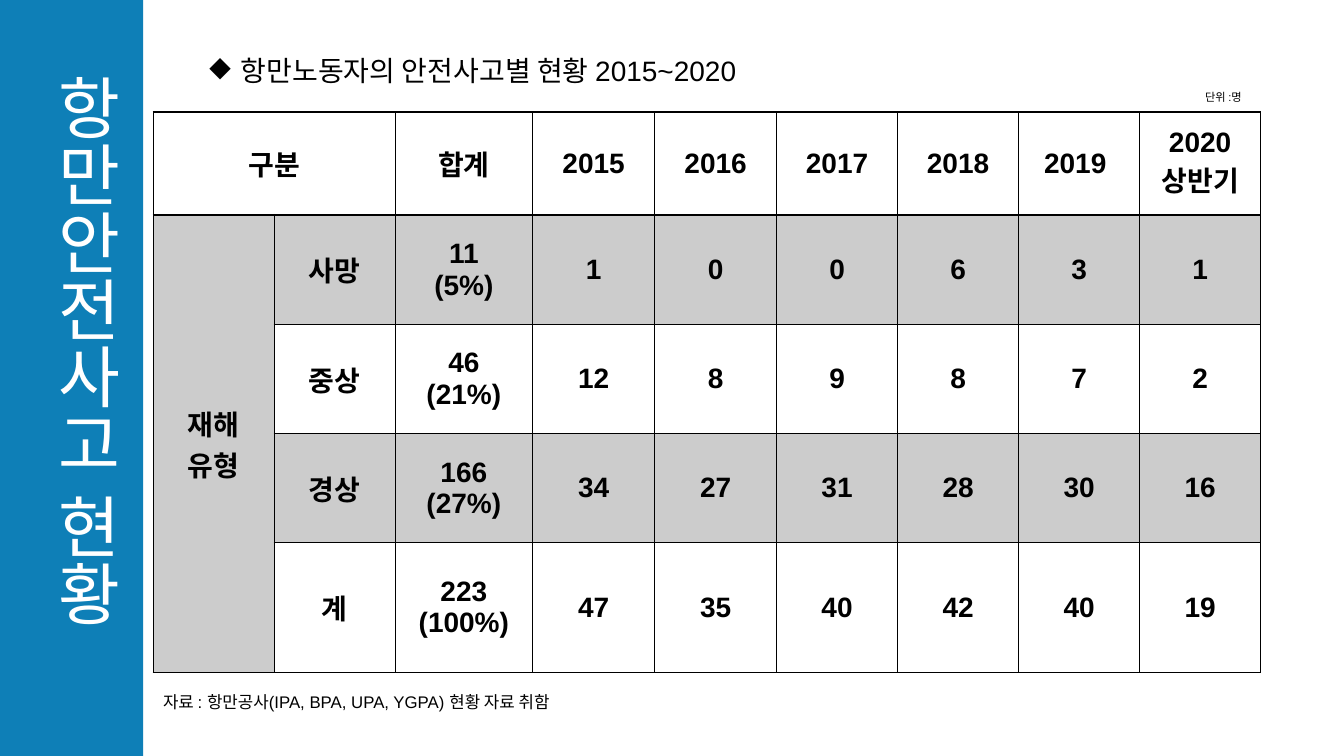
"""Build the slide on port safety accidents."""
from lxml import etree
from pptx import Presentation, util as u
from pptx.dml.color import RGBColor
from pptx.enum import shapes, text
from pptx.oxml.ns import qn

BLUE, BLACK, WHITE = "0E7FB7", "000000", "FFFFFF"
SIDEBAR = (0, 0, 3.61, 19.05)
TEXTS = [
    {"words": "항만안전사고 현황", "box": (0.76, 1.63, 2.57, 15.82),
     "size": 48, "color": WHITE, "vertical": True},
    {"words": "항만노동자의 안전사고별 현황 2015~2020",
     "box": (5.03, 1.22, 25.27, 1.11), "size": 20, "bullet": "◆"},
    {"words": "자료 : 항만공사(IPA, BPA, UPA, YGPA) 현황 자료 취함",
     "box": (3.86, 17.3, 12.34, 0.76), "size": 12},
    {"words": "단위 :명", "box": (30.12, 2.16, 2.21, 0.61), "size": 8},
]
ROWS = [
    ["구분", "", "합계", "2015", "2016", "2017", "2018", "2019 ", "2020 상반기"],
    ["재해 유형", "사망", "11\n(5%)", "1", "0", "0", "6", "3", "1"],
    ["", "중상", "46\n(21%)", "12", "8", "9", "8", "7", "2"],
    ["", "경상", "166\n(27%)", "34", "27", "31", "28", "30", "16"],
    ["", "계", "223\n(100%)", "47", "35", "40", "42", "40", "19"],
]
TABLE_LEFT, TABLE_TOP = 3.86, 2.82
COLUMN_WIDTHS = [3.05, 3.05, 3.46, 3.08, 3.07, 3.05, 3.05, 3.05, 3.05]
ROW_HEIGHTS = [2.6, 2.75, 2.75, 2.75, 3.28]
MERGES = [((0, 0), (0, 1)), ((1, 0), (4, 0))]


def rgb(value):
    return RGBColor.from_string(value)


def place(box):
    return [u.Cm(length) for length in box]


def style(paragraph, size, color=BLACK, bold=False):
    for name, value in {"name": "Arial", "size": u.Pt(size), "bold": bold}.items():
        setattr(paragraph.font, name, value)
    paragraph.font.color.rgb = rgb(color)


def add_bullet(paragraph, mark):
    properties = paragraph._p.get_or_add_pPr()
    indent = u.Cm(0.79)
    properties.set("marL", str(indent))
    properties.set("indent", str(-indent))
    etree.SubElement(properties, qn("a:buChar"), char=mark)


def add_text(slide, words, box, size, color=BLACK, vertical=False, bullet=None):
    frame = slide.shapes.add_textbox(*place(box)).text_frame
    frame.word_wrap = True
    frame.auto_size = text.MSO_AUTO_SIZE.SHAPE_TO_FIT_TEXT
    if vertical:
        frame._txBody.bodyPr.set("vert", "eaVert")
    paragraph = frame.paragraphs[0]
    paragraph.text = words
    if bullet:
        add_bullet(paragraph, bullet)
    style(paragraph, size, color)


def fill_cell(cell, shaded):
    if not shaded:
        cell.fill.background()
        return
    cell.fill.solid()
    cell.fill.fore_color.rgb = rgb(BLACK)
    color = cell._tc.tcPr.find(".//" + qn("a:srgbClr"))
    etree.SubElement(color, qn("a:alpha"), val="20000")


def add_borders(cell, widths):
    properties = cell._tc.get_or_add_tcPr()
    for position, (side, width) in enumerate(widths.items()):
        line = etree.Element(qn("a:ln" + side), w=str(u.Pt(width)))
        solid = etree.SubElement(line, qn("a:solidFill"))
        etree.SubElement(solid, qn("a:srgbClr"), val=BLACK)
        properties.insert(position, line)


def add_accident_table(slide):
    box = (TABLE_LEFT, TABLE_TOP, sum(COLUMN_WIDTHS), sum(ROW_HEIGHTS))
    table = slide.shapes.add_table(len(ROWS), len(COLUMN_WIDTHS), *place(box)).table
    table.first_row = table.horz_banding = False
    for column, width in zip(table.columns, COLUMN_WIDTHS):
        column.width = u.Cm(width)
    for row, height in zip(table.rows, ROW_HEIGHTS):
        row.height = u.Cm(height)
    for start, end in MERGES:
        table.cell(*start).merge(table.cell(*end))
    for row_index, row in enumerate(ROWS):
        for column_index, words in enumerate(row):
            cell = table.cell(row_index, column_index)
            cell.text = words
            cell.vertical_anchor = text.MSO_ANCHOR.MIDDLE
            for paragraph in cell.text_frame.paragraphs:
                paragraph.alignment = text.PP_ALIGN.CENTER
                style(paragraph, 20, bold=True)
            fill_cell(cell, row_index % 2 == 1)
            add_borders(cell, {"L": 1, "R": 1, "T": 2 if row_index == 1 else 1,
                               "B": 2 if row_index == 0 else 1})


def main():
    presentation = Presentation()
    presentation.slide_width, presentation.slide_height = place((33.87, 19.05))
    slide = presentation.slides.add_slide(presentation.slide_layouts[6])
    sidebar = slide.shapes.add_shape(shapes.MSO_SHAPE.RECTANGLE, *place(SIDEBAR))
    sidebar.shadow.inherit = False
    sidebar.fill.solid()
    sidebar.fill.fore_color.rgb = rgb(BLUE)
    sidebar.line.fill.background()
    title, *labels = TEXTS
    add_text(slide, **title)
    add_accident_table(slide)
    for label in labels:
        add_text(slide, **label)
    presentation.save("out.pptx")


if __name__ == "__main__":
    main()
